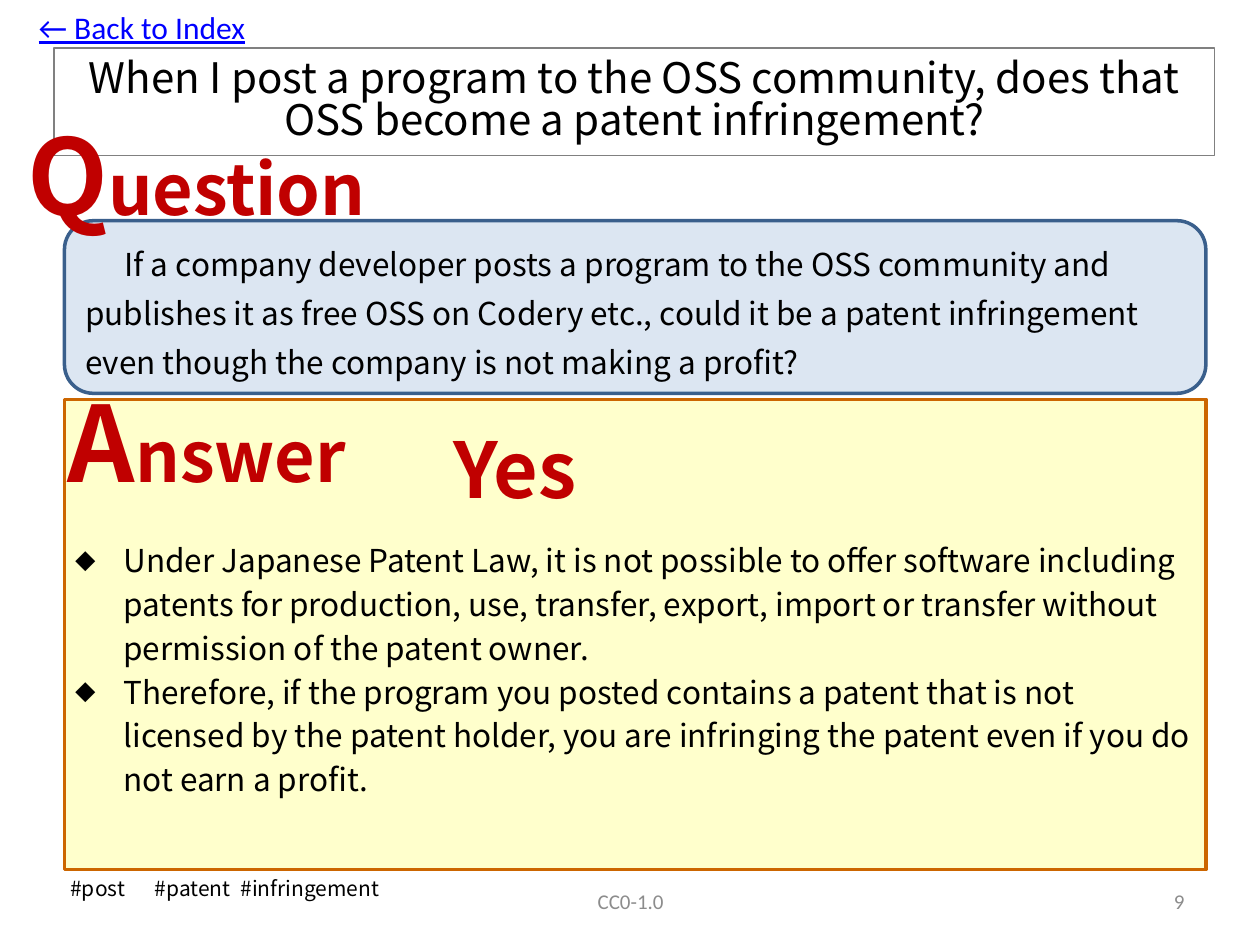
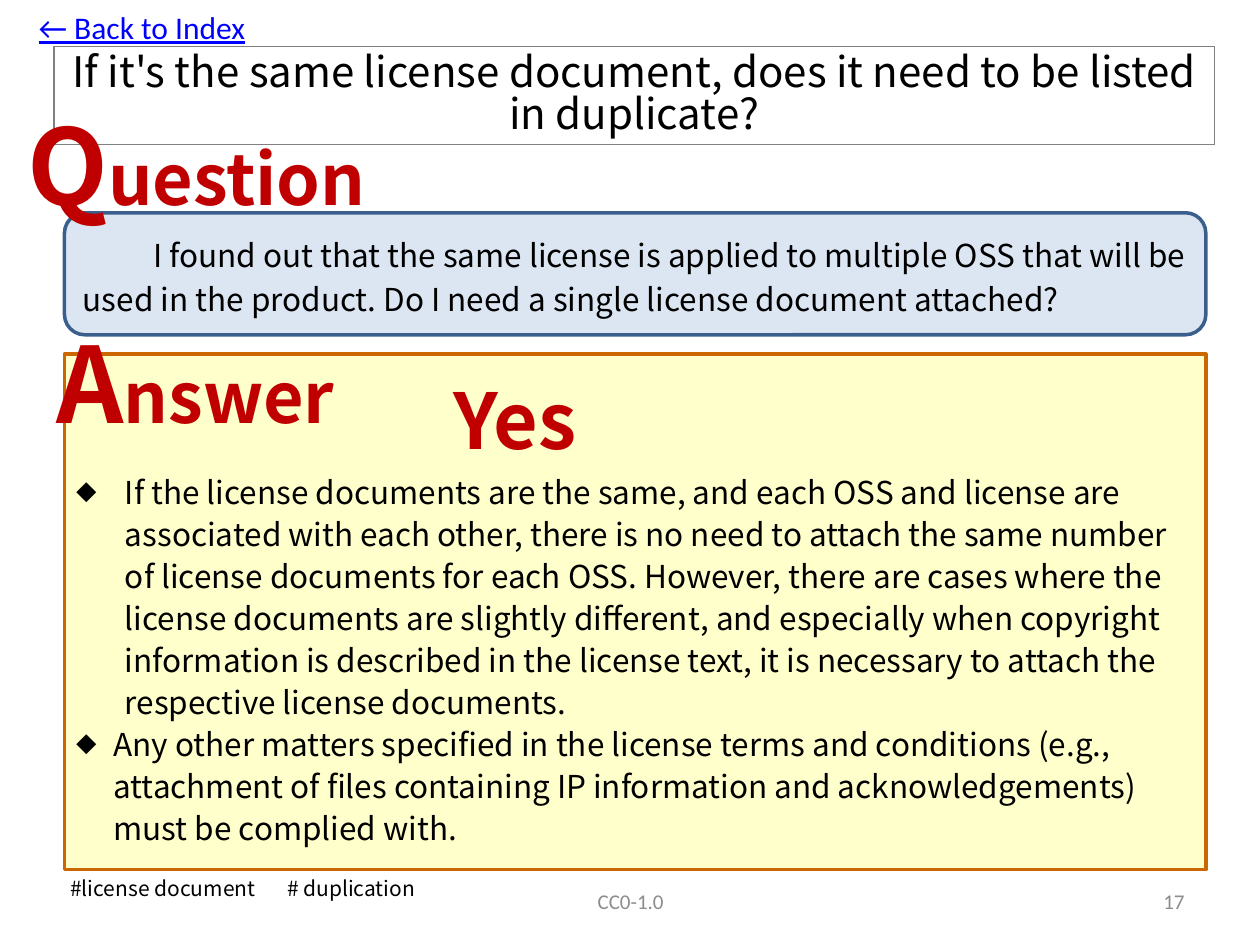
"""Build two question-and-answer slides about open source licensing."""
import pptx
import pptx.dml.color
import pptx.enum.shapes
import pptx.enum.text
import pptx.oxml.ns
import pptx.util
from lxml import etree

Cm = pptx.util.Cm
Pt = pptx.util.Pt
RGBColor = pptx.dml.color.RGBColor
Shape = pptx.enum.shapes.MSO_SHAPE
Align = pptx.enum.text.PP_ALIGN
Anchor = pptx.enum.text.MSO_ANCHOR

BLACK = RGBColor(0x00, 0x00, 0x00)
RED = RGBColor(0xC0, 0x00, 0x00)
LINK_BLUE = RGBColor(0x00, 0x00, 0xFF)
FOOTER_GREY = RGBColor(0x8C, 0x8C, 0x8C)
TITLE_BORDER = RGBColor(0x80, 0x80, 0x80)
QUESTION_FILL = RGBColor(0xDC, 0xE6, 0xF2)
QUESTION_LINE = RGBColor(0x3A, 0x5F, 0x8C)
ANSWER_FILL = RGBColor(0xFF, 0xFF, 0xCC)
ANSWER_LINE = RGBColor(0xCC, 0x66, 0x00)

MAIN_FONT = "Noto Sans CJK JP"
FOOTER_FONT = "Calibri"
PANEL_LEFT, PANEL_WIDTH, PANEL_BOTTOM = 1.3, 23.01, 17.53

SLIDES = [
    {
        "number": "9",
        "title": "When I post a program to the OSS community, does that OSS become a patent infringement?",
        "title_top": 0.97, "title_height": 2.16,
        "question": "If a company developer posts a program to the OSS community and publishes it "
                    "as free OSS on Codery etc., could it be a patent infringement even though "
                    "the company is not making a profit?",
        "question_top": 4.45, "question_height": 3.48,
        "question_indent": 0.79, "question_spacing": 28,
        "question_heading_top": 2.11,
        "answer_top": 8.05, "answer_heading": (1.12, 7.49), "verdict_top": 8.38,
        "points_box": (1.27, 10.67, 23.04, 6.86), "points_spacing": 25,
        "points": [
            (0.97, "Under Japanese Patent Law, it is not possible to offer software including "
                   "patents for production, use, transfer, export, import or transfer without "
                   "permission of the patent owner."),
            (0.97, "Therefore, if the program you posted contains a patent that is not licensed "
                   "by the patent holder, you are infringing the patent even if you do not earn "
                   "a profit."),
        ],
        "tags": ["#post", "#patent", "#infringement"], "tag_stops": [1.7, 3.43],
    },
    {
        "number": "17",
        "title": "If it's the same license document, does it need to be listed in duplicate?",
        "title_top": 0.94, "title_height": 1.98,
        "question": "I found out that the same license is applied to multiple OSS that will be "
                    "used in the product. Do I need a single license document attached?",
        "question_top": 4.29, "question_height": 2.46,
        "question_indent": 1.42, "question_spacing": 25,
        "question_heading_top": 1.91,
        "answer_top": 7.14, "answer_heading": (0.89, 6.3), "verdict_top": 7.39,
        "points_box": (1.3, 9.32, 22.83, 8.13), "points_spacing": 24,
        "points": [
            (0.97, "If the license documents are the same, and each OSS and license are "
                   "associated with each other, there is no need to attach the same number of "
                   "license documents for each OSS. However, there are cases where the license "
                   "documents are slightly different, and especially when copyright information "
                   "is described in the license text, it is necessary to attach the respective "
                   "license documents."),
            (0.74, "Any other matters specified in the license terms and conditions (e.g., "
                   "attachment of files containing IP information and acknowledgements) must be "
                   "complied with."),
        ],
        "tags": ["#license document", "# duplication"], "tag_stops": [4.37],
    },
]


def add_span(para, text, size, color=BLACK, font=MAIN_FONT, bold=False, underline=False):
    span = para.add_run()
    span.text = text
    span.font.size = Pt(size)
    span.font.name = font
    span.font.color.rgb = color
    span.font.bold = bold
    span.font.underline = underline


def add_property(parent, tag, **attributes):
    return etree.SubElement(parent, pptx.oxml.ns.qn(tag), attributes)


def set_indent(para, margin, first_line):
    properties = para._p.get_or_add_pPr()
    properties.set("marL", str(Cm(margin)))
    properties.set("indent", str(Cm(first_line)))
    return properties


def add_text_box(slide, left, top, width, height, anchor=Anchor.TOP):
    box = slide.shapes.add_textbox(Cm(left), Cm(top), Cm(width), Cm(height))
    box.text_frame.word_wrap = True
    box.text_frame.vertical_anchor = anchor
    return box.text_frame


def add_label(slide, place, text, size, align=Align.LEFT, anchor=Anchor.TOP, **style):
    para = add_text_box(slide, *place, anchor=anchor).paragraphs[0]
    para.alignment = align
    add_span(para, text, size, **style)


def add_panel(slide, kind, top, height, fill, line):
    panel = slide.shapes.add_shape(kind, Cm(PANEL_LEFT), Cm(top), Cm(PANEL_WIDTH), Cm(height))
    panel.shadow.inherit = False
    panel.fill.solid()
    panel.fill.fore_color.rgb = fill
    panel.line.color.rgb = line
    panel.line.width = Pt(2)
    return panel


def add_title(slide, text, top, height):
    title = slide.shapes.title
    title.left, title.top, title.width, title.height = Cm(1.09), Cm(top), Cm(23.39), Cm(height)
    title.line.color.rgb = TITLE_BORDER
    title.line.width = Pt(0.75)
    frame = title.text_frame
    frame.word_wrap = True
    frame.auto_size = pptx.enum.text.MSO_AUTO_SIZE.NONE
    frame.vertical_anchor = Anchor.MIDDLE
    para = frame.paragraphs[0]
    para.alignment = Align.CENTER
    para.line_spacing = 0.84
    add_span(para, text, 24)


def add_question(slide, text, top, height, indent, spacing):
    panel = add_panel(slide, Shape.ROUNDED_RECTANGLE, top, height, QUESTION_FILL, QUESTION_LINE)
    frame = panel.text_frame
    frame.word_wrap = True
    frame.vertical_anchor = Anchor.MIDDLE
    para = frame.paragraphs[0]
    para.alignment = Align.LEFT
    set_indent(para, 0, indent)
    para.line_spacing = Pt(spacing)
    add_span(para, text, 18)


def add_heading(slide, left, top, width, word):
    para = add_text_box(slide, left, top, width, 2.82).paragraphs[0]
    add_span(para, word[0], 60, RED, bold=True)
    add_span(para, word[1:], 40, RED, bold=True)


def add_points(slide, place, points, spacing):
    frame = add_text_box(slide, *place)
    for index, (indent, text) in enumerate(points):
        para = frame.add_paragraph() if index else frame.paragraphs[0]
        properties = set_indent(para, indent, -indent)
        add_property(properties, "a:buSzPct", val="65000")
        add_property(properties, "a:buFont", typeface=MAIN_FONT)
        add_property(properties, "a:buChar", char="◆")
        para.line_spacing = Pt(spacing)
        add_span(para, text, 18)


def add_tags(slide, tags, stops):
    para = add_text_box(slide, 1.17, PANEL_BOTTOM, 8.1, 0.76).paragraphs[0]
    tab_list = add_property(para._p.get_or_add_pPr(), "a:tabLst")
    for stop in stops:
        add_property(tab_list, "a:tab", pos=str(Cm(stop)), algn="l")
    add_span(para, "\t".join(tags), 12)


def add_navigation(slide, number):
    footer = {"anchor": Anchor.MIDDLE, "color": FOOTER_GREY, "font": FOOTER_FONT}
    add_label(slide, (0.53, 0.03, 5, 1.02), "← Back to Index", 18,
              color=LINK_BLUE, font=FOOTER_FONT, underline=True)
    add_label(slide, (8.69, 17.65, 8.05, 1.02), "CC0-1.0", 12, Align.CENTER, **footer)
    add_label(slide, (18.21, 17.65, 5.92, 1.02), number, 12, Align.RIGHT, **footer)


def add_question_slide(deck, content):
    slide = deck.slides.add_slide(deck.slide_layouts.get_by_name("Title Only"))
    add_title(slide, content["title"], content["title_top"], content["title_height"])
    answer_top = content["answer_top"]
    add_panel(slide, Shape.RECTANGLE, answer_top, PANEL_BOTTOM - answer_top,
              ANSWER_FILL, ANSWER_LINE)
    add_points(slide, content["points_box"], content["points"], content["points_spacing"])
    add_question(slide, content["question"], content["question_top"],
                 content["question_height"], content["question_indent"],
                 content["question_spacing"])
    add_heading(slide, 0.3, content["question_heading_top"], 7.8, "Question")
    add_heading(slide, *content["answer_heading"], 6.68, "Answer")
    add_label(slide, (8.89, content["verdict_top"], 10.39, 2.13), "Yes", 44,
              color=RED, bold=True)
    add_tags(slide, content["tags"], content["tag_stops"])
    add_navigation(slide, content["number"])


def main():
    deck = pptx.Presentation()
    deck.slide_width, deck.slide_height = Cm(25.4), Cm(19.05)
    for content in SLIDES:
        add_question_slide(deck, content)
    deck.save("out.pptx")


if __name__ == "__main__":
    main()
